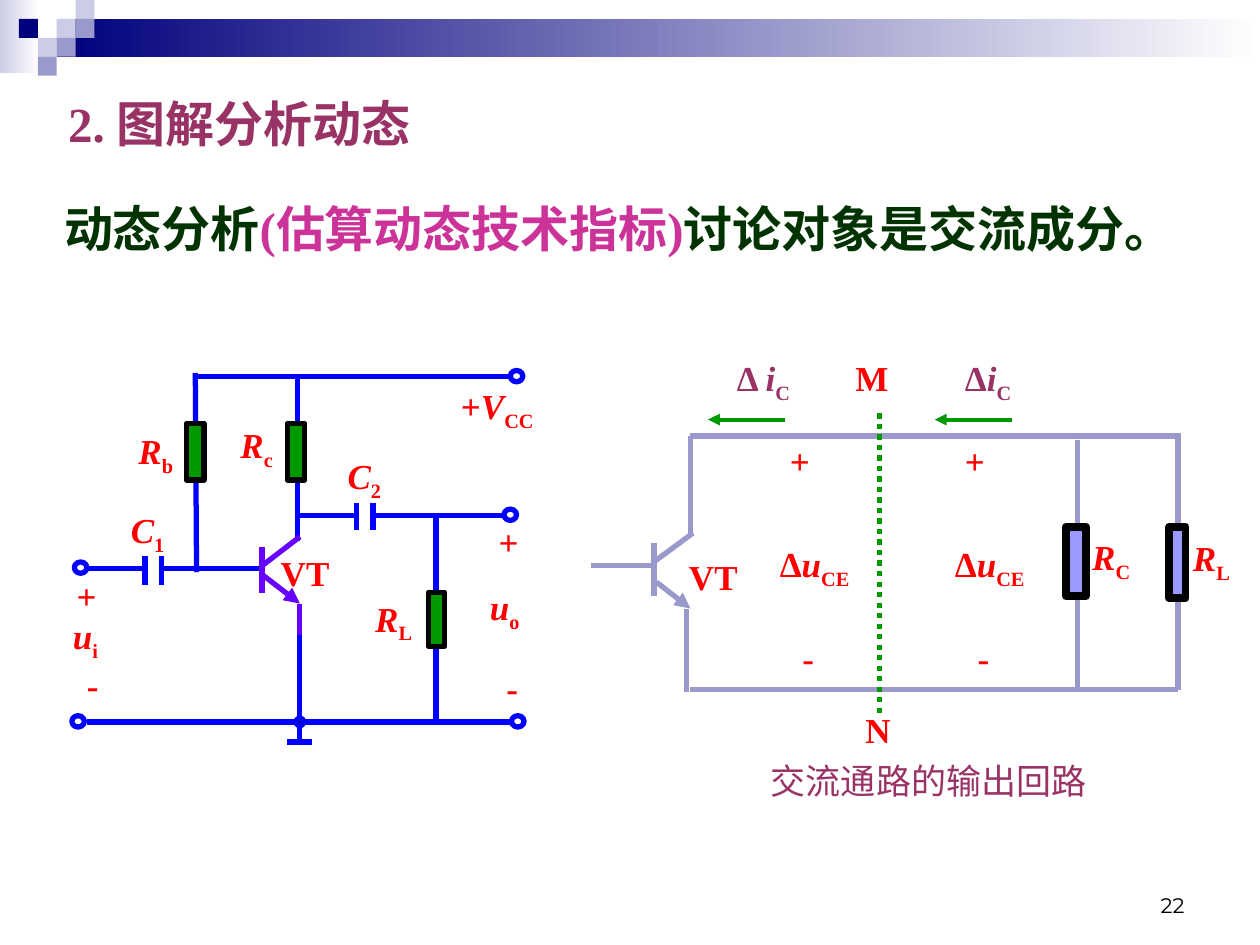
from dataclasses import dataclass
from lxml.etree import SubElement
from pptx import Presentation
from pptx.dml.color import RGBColor as Rgb
from pptx.enum.dml import MSO_LINE as Dash
from pptx.enum.shapes import MSO_CONNECTOR as Link, MSO_SHAPE as Preset
from pptx.enum.text import MSO_ANCHOR as Anchor, MSO_AUTO_SIZE as Fit, PP_ALIGN as Align
from pptx.oxml.ns import qn
from pptx.util import Inches, Pt


@dataclass(frozen=True)
class Theme:
    """Colours, fonts, type sizes and line widths of the slide."""
    navy: str = "00007D"
    pale: str = "CCCCE6"
    lilac: str = "9999CC"
    white: str = "FFFFFF"
    black: str = "000000"
    blue: str = "0000FF"
    violet: str = "6600FF"
    green: str = "009900"
    load: str = "9999FF"
    red: str = "FF0000"
    plum: str = "993366"
    forest: str = "003300"
    pink: str = "CC3399"
    serif: str = "Times New Roman"
    sans: str = "Montserrat"
    heading: float = 28
    label: float = 20
    number: float = 12
    wire: float = 3
    arrow: float = 2.25
    frame: float = 4.5


THEME = Theme()


def add_span(para, text, color, size=THEME.label, font=THEME.serif, bold=True, italic=False, sub=False):
    """Append one formatted run to a paragraph."""
    span = para.add_run()
    span.text = text
    span.font.name, span.font.size = font, Pt(size)
    span.font.bold, span.font.italic = bold, italic
    span.font.color.rgb = Rgb.from_string(color)
    if sub:
        span.font._element.set("baseline", "-25000")


def add_box(page, left, top, width, height):
    """Add a wrapping text box and return its first paragraph."""
    box = page.shapes.add_textbox(Inches(left), Inches(top), Inches(width), Inches(height))
    box.text_frame.word_wrap = True
    return box.text_frame.paragraphs[0]


def add_label(page, left, top, width, lead="", symbol="", sub="", color=THEME.red):
    """Add a circuit label: upright lead, italic symbol and subscript."""
    para = add_box(page, left, top, width, 0.48 if sub else 0.44)
    for text, italic, lowered in ((lead, False, False), (symbol, True, False), (sub, False, True)):
        if text:
            add_span(para, text, color, italic=italic, sub=lowered)


def add_wire(page, start, end, color, width=THEME.wire, arrow=False, dash=None):
    """Draw a straight line, optionally dashed or with an arrowhead."""
    wire = page.shapes.add_connector(Link.STRAIGHT, *map(Inches, (*start, *end)))
    wire.line.color.rgb = Rgb.from_string(color)
    wire.line.width = Pt(width)
    if dash:
        wire.line.dash_style = dash
    if arrow:
        SubElement(wire.line._get_or_add_ln(), qn("a:tailEnd"), type="triangle")
    SubElement(wire._element.spPr, qn("a:effectLst"))


def add_part(page, preset, left, top, width, height, fill=None, line=None, weight=THEME.wire):
    """Add a preset shape with an optional fill and outline."""
    part = page.shapes.add_shape(preset, *map(Inches, (left, top, width, height)))
    part.shadow.inherit = False
    if fill:
        part.fill.solid()
        part.fill.fore_color.rgb = Rgb.from_string(fill)
    else:
        part.fill.background()
    if line:
        part.line.color.rgb = Rgb.from_string(line)
        part.line.width = Pt(weight)
    else:
        part.line.fill.background()
    return part


def add_fade(page, left, top, width, height, color):
    """Add a bar that fades to white from left to right."""
    bar = add_part(page, Preset.RECTANGLE, left, top, width, height)
    bar.fill.gradient()
    bar.fill.gradient_angle = 0
    for stop, shade, place in zip(bar.fill.gradient_stops, (color, THEME.white), (0, 1)):
        stop.color.rgb = Rgb.from_string(shade)
        stop.position = place


def add_header(page):
    """Draw the fading bars and the mosaic at the top."""
    add_fade(page, 0, 0, 0.31, 0.58, THEME.pale)
    add_fade(page, 0.45, 0.15, 9.55, 0.3, THEME.navy)
    tile = 0.15
    mosaic = ((3, 1, THEME.pale), (4, 0, THEME.pale), (4, 1, THEME.lilac), (2, 2, THEME.pale),
              (1, 1, THEME.navy), (3, 2, THEME.lilac), (2, 3, THEME.lilac))
    for column, row, color in mosaic:
        add_part(page, Preset.RECTANGLE, column * tile, row * tile, tile, tile, color)


def add_heading(page):
    """Fill the title, the statement below it and the page number."""
    title = page.shapes.title
    title.left, title.top, title.width, title.height = map(Inches, (0.44, 0.69, 3.42, 0.57))
    frame = title.text_frame
    frame.auto_size, frame.vertical_anchor, frame.word_wrap = Fit.NONE, Anchor.TOP, True
    frame.paragraphs[0].alignment = Align.LEFT
    add_span(frame.paragraphs[0], "2. 图解分析动态", THEME.plum, THEME.heading)
    para = add_box(page, 0.41, 1.53, 9.35, 0.57)
    for text, color in (("动态分析", THEME.forest), ("(估算动态技术指标)", THEME.pink),
                        ("讨论对象是交流成分。", THEME.forest)):
        add_span(para, text, color, THEME.heading)
    para = add_box(page, 7.17, 6.83, 2.33, 0.5)
    para._parent.vertical_anchor = Anchor.BOTTOM
    para.alignment = Align.RIGHT
    add_span(para, "22", THEME.black, THEME.number, THEME.sans, bold=False)


def add_amplifier(page):
    """Draw the common-emitter amplifier on the left."""
    wires = (((1.55, 2.96), (1.56, 4.54)), ((2.36, 4.29), (2.36, 2.99)), ((3.46, 4.07), (3.46, 5.73)),
             ((2.98, 4.09), (4.02, 4.09)), ((2.38, 4.09), (2.81, 4.09)), ((1.55, 2.99), (4.06, 2.99)),
             ((0.69, 5.73), (4.07, 5.73)), ((1.3, 4.51), (2.08, 4.51)), ((1.15, 4.51), (0.7, 4.51)),
             ((2.28, 5.89), (2.48, 5.89)))
    for start, end in wires:
        add_wire(page, start, end, THEME.blue)
    for left, top, height in ((2.83, 3.99, 0.22), (1.15, 4.41, 0.23)):
        for plate in (left, left + 0.13):
            add_wire(page, (plate, top), (plate, top + height), THEME.blue)
    for start, end in (((2.38, 4.79), (2.38, 5.16)), ((2.08, 4.34), (2.08, 4.71)),
                       ((2.08, 4.49), (2.38, 4.26))):
        add_wire(page, start, end, THEME.violet)
    add_wire(page, (2.08, 4.56), (2.38, 4.79), THEME.violet, arrow=True)
    add_wire(page, (2.38, 5.04), (2.38, 5.88), THEME.blue)
    for left, top, width, height in ((1.48, 3.36, 0.14, 0.45), (2.28, 3.36, 0.14, 0.45),
                                     (3.4, 4.7, 0.13, 0.43)):
        add_part(page, Preset.RECTANGLE, left, top, width, height, THEME.green, THEME.black)
    for left, top in ((4, 4.04), (4.05, 2.94), (0.57, 5.68), (4.06, 5.68), (0.59, 4.46)):
        add_part(page, Preset.OVAL, left, top, 0.1, 0.09, line=THEME.blue)
    add_part(page, Preset.OVAL, 2.35, 5.7, 0.06, 0.06, THEME.black, THEME.blue)
    labels = ((1, 3.36, 0.54, "", "R", "b"), (1.81, 3.31, 0.5, "", "R", "c"), (2.13, 4.33, 0.83, "VT"),
              (0.51, 4.51, 0.43, "+"), (0.59, 5.22, 0.51, "-"), (0.48, 4.83, 0.53, "", "u", "i"),
              (2.88, 4.69, 0.56, "", "R", "L"), (0.94, 3.99, 0.53, "", "C", "1"),
              (2.66, 3.56, 0.62, "", "C", "2"), (3.56, 3, 0.93, "+", "V", "CC"),
              (3.86, 4.08, 0.43, "+"), (3.92, 5.24, 0.51, "-"), (3.79, 4.6, 0.58, "", "u", "o"))
    for label in labels:
        add_label(page, *label)


def add_output_loop(page):
    """Draw the output loop of the AC path on the right."""
    wires = (((9.35, 3.47), (9.35, 5.48)), ((8.55, 3.49), (8.55, 5.46)), ((5.48, 3.46), (9.37, 3.46)),
             ((5.48, 5.47), (9.35, 5.47)), ((5.19, 4.31), (5.19, 4.73)), ((5.19, 4.46), (5.5, 4.23)),
             ((5.19, 4.49), (4.69, 4.49)), ((5.45, 4.83), (5.45, 5.49)), ((5.48, 4.25), (5.48, 3.46)))
    for start, end in wires:
        add_wire(page, start, end, THEME.lilac)
    add_wire(page, (5.21, 4.62), (5.48, 4.83), THEME.lilac, arrow=True)
    add_wire(page, (6.98, 3.28), (6.98, 5.68), THEME.green, dash=Dash.ROUND_DOT)
    for left, top, width, height in ((8.46, 4.18, 0.16, 0.55), (9.28, 4.18, 0.13, 0.57)):
        add_part(page, Preset.RECTANGLE, left, top, width, height, THEME.load, THEME.black, THEME.frame)
    for left in (6.17, 7.56):
        add_label(page, left, 3.44, 0.5, "+")
        add_label(page, left - 0.08, 4.26, 0.95, "Δ", "u", "CE")
        add_label(page, left + 0.1, 5, 0.58, "-")
    for left, tip, lead in ((5.75, 5.62, "Δ "), (7.56, 7.42, "Δ")):
        add_wire(page, (tip + 0.61, 3.33), (tip, 3.33), THEME.green, THEME.arrow, arrow=True)
        add_label(page, left, 2.78, 0.9, lead, "i", "C", THEME.plum)
    for label in ((5.37, 4.36, 0.76, "VT"), (6.69, 2.78, 0.71, "M"), (6.77, 5.57, 0.68, "N"),
                  (8.57, 4.2, 0.71, "", "R", "C"), (9.37, 4.21, 0.66, "", "R", "L")):
        add_label(page, *label)
    add_span(add_box(page, 6.02, 5.98, 3.84, 0.44), "交流通路的输出回路", THEME.plum, bold=False)


def main():
    """Build the slide and save the deck."""
    deck = Presentation()
    deck.slide_width, deck.slide_height = Inches(10), Inches(7.5)
    page = deck.slides.add_slide(deck.slide_layouts[5])
    add_header(page)
    add_heading(page)
    add_amplifier(page)
    add_output_loop(page)
    deck.save("out.pptx")


if __name__ == "__main__":
    main()
